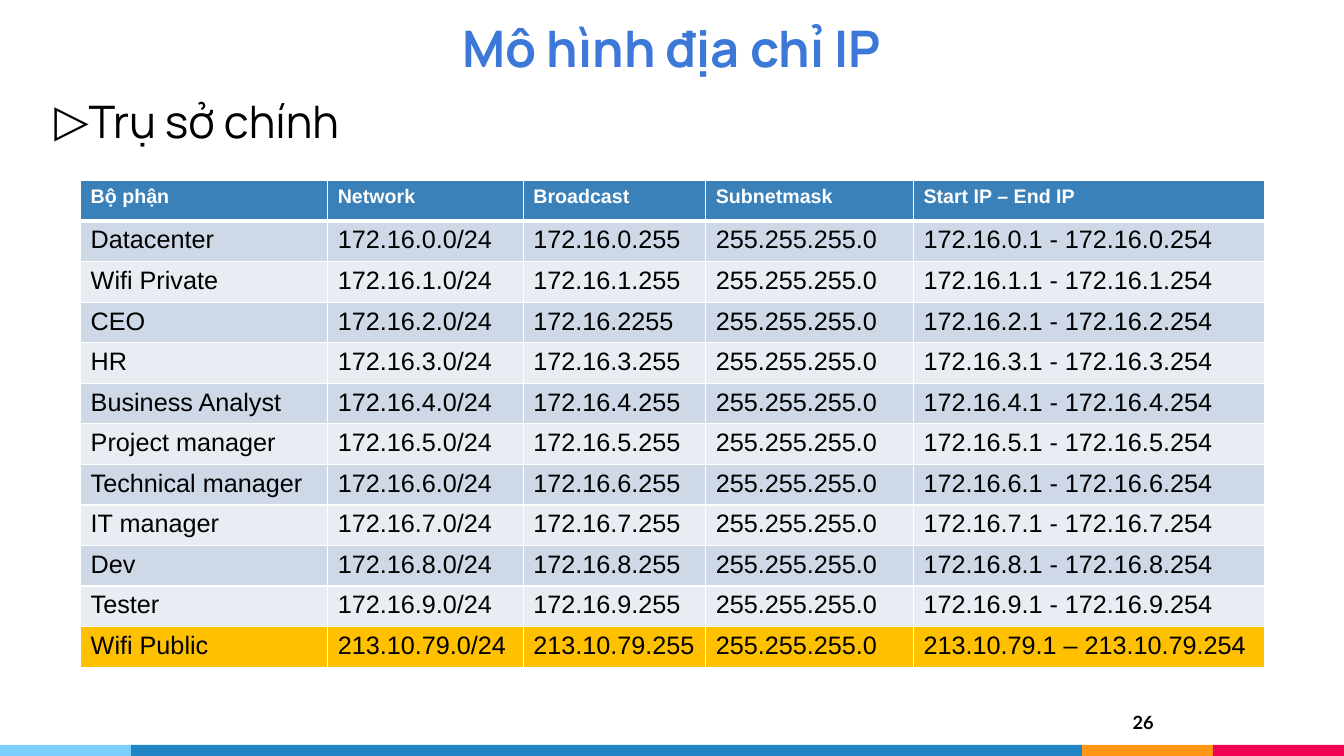
import dataclasses

import pptx
import pptx.dml.color
import pptx.enum.shapes
import pptx.enum.text
import pptx.oxml
import pptx.oxml.ns
import pptx.util

Inches = pptx.util.Inches
Align = pptx.enum.text.PP_ALIGN
Anchor = pptx.enum.text.MSO_ANCHOR
NAMESPACE = pptx.oxml.ns.nsdecls("a")
BLACK, WHITE = "000000", "FFFFFF"
HEADER_FILL, PUBLIC_FILL = "3A81BA", "FFC000"
BAND_FILLS = ("CED8E7", "E8EDF3")
MASK = "255.255.255.0"


@dataclasses.dataclass
class FooterBar:
    left: float
    width: float
    fill: str


@dataclasses.dataclass
class TableRow:
    texts: tuple
    fill: str


FOOTER_BARS = [
    FooterBar(10.73, 1.3, "FF9715"),
    FooterBar(12.03, 1.3, "F20253"),
    FooterBar(0, 1.3, "7ECEFD"),
    FooterBar(1.3, 9.43, "2185C5"),
]
HEADERS = ("Bộ phận", "Network", "Broadcast", "Subnetmask", "Start IP – End IP")
COLUMN_WIDTHS = (2.45, 1.94, 1.81, 2.06, 3.48)
DEPARTMENTS = ("Datacenter", "Wifi Private", "CEO", "HR", "Business Analyst",
               "Project manager", "Technical manager", "IT manager", "Dev", "Tester")
BROADCAST_EXCEPTIONS = {"CEO": "172.16.2255"}


def color(value: str) -> pptx.dml.color.RGBColor:
    return pptx.dml.color.RGBColor.from_string(value)


def write_text(frame, text: str, *, size: float, font: str, fill: str = BLACK,
               bold: bool = False, align=Align.LEFT):
    paragraph = frame.paragraphs[0]
    paragraph.alignment = align
    run = paragraph.add_run()
    run.text = text
    run.font.size = pptx.util.Pt(size)
    run.font.name = font
    run.font.bold = bold
    run.font.color.rgb = color(fill)
    return paragraph


def add_text_frame(slide, left: float, top: float, width: float, height: float, *,
                   inset: float = 0.1, wrap: bool = True, anchor=Anchor.TOP):
    box = slide.shapes.add_textbox(Inches(left), Inches(top), Inches(width), Inches(height))
    frame = box.text_frame
    frame.word_wrap = wrap
    frame.vertical_anchor = anchor
    frame.margin_left = frame.margin_right = Inches(0.1)
    frame.margin_top = frame.margin_bottom = Inches(inset)
    return frame


def add_footer_bar(slide, bar: FooterBar) -> None:
    shape = slide.shapes.add_shape(pptx.enum.shapes.MSO_SHAPE.RECTANGLE, Inches(bar.left),
                                   Inches(7.39), Inches(bar.width), Inches(0.11))
    shape.shadow.inherit = False
    shape.fill.solid()
    shape.fill.fore_color.rgb = color(bar.fill)
    shape.line.fill.background()


def set_bullet(paragraph, symbol: str) -> None:
    properties = paragraph._p.get_or_add_pPr()
    properties.set("marL", "0")
    properties.set("indent", "0")
    for xml in (f'<a:buClr {NAMESPACE}><a:srgbClr val="{BLACK}"/></a:buClr>',
                f'<a:buFont {NAMESPACE} typeface="Arial"/>',
                f'<a:buChar {NAMESPACE} char="{symbol}"/>'):
        properties.append(pptx.oxml.parse_xml(xml))


def set_borders(cell, **widths: float) -> None:
    properties = cell._tc.get_or_add_tcPr()
    for side, width in widths.items():
        properties.append(pptx.oxml.parse_xml(
            f'<a:ln{side} {NAMESPACE} w="{pptx.util.Pt(width)}"><a:solidFill>'
            f'<a:srgbClr val="{WHITE}"/></a:solidFill></a:ln{side}>'))


def address_rows() -> list[TableRow]:
    rows = [TableRow(HEADERS, HEADER_FILL)]
    for number, department in enumerate(DEPARTMENTS):
        subnet = f"172.16.{number}"
        broadcast = BROADCAST_EXCEPTIONS.get(department, f"{subnet}.255")
        texts = (department, f"{subnet}.0/24", broadcast, MASK, f"{subnet}.1 - {subnet}.254")
        rows.append(TableRow(texts, BAND_FILLS[number % 2]))
    rows.append(TableRow(("Wifi Public", "213.10.79.0/24", "213.10.79.255", MASK,
                          "213.10.79.1 – 213.10.79.254"), PUBLIC_FILL))
    return rows


def add_address_table(slide, rows: list[TableRow]) -> None:
    table = slide.shapes.add_table(len(rows), len(HEADERS), Inches(0.8), Inches(1.79),
                                   Inches(sum(COLUMN_WIDTHS)), Inches(4.83)).table
    table.horz_banding = False
    for column, width in zip(table.columns, COLUMN_WIDTHS):
        column.width = Inches(width)
    for row_index, row in enumerate(rows):
        is_header = row_index == 0
        for column_index, text in enumerate(row.texts):
            cell = table.cell(row_index, column_index)
            set_borders(cell, L=1, R=1, T=3 if row_index == 1 else 1, B=3 if is_header else 1)
            cell.fill.solid()
            cell.fill.fore_color.rgb = color(row.fill)
            write_text(cell.text_frame, text, size=14 if is_header else 18, font="Arial",
                       fill=WHITE if is_header else BLACK, bold=is_header)


def main() -> None:
    presentation = pptx.Presentation()
    presentation.slide_width = Inches(13.33)
    presentation.slide_height = Inches(7.5)
    slide = presentation.slides.add_slide(presentation.slide_layouts[6])

    # Footer stripe and page number
    for bar in FOOTER_BARS:
        add_footer_bar(slide, bar)
    write_text(add_text_frame(slide, 10.94, 6.96, 0.6, 0.46), "26",
               size=13, font="Lato", bold=True, align=Align.RIGHT)

    # Title and heading
    write_text(add_text_frame(slide, 3.13, 0, 7.07, 0.87, anchor=Anchor.BOTTOM),
               "Mô hình địa chỉ IP", size=36, font="Manrope", fill="3C78D8",
               bold=True, align=Align.CENTER)
    heading_frame = add_text_frame(slide, 0.44, 0.88, 3.12, 0.64, inset=0.05, wrap=False)
    heading_frame.auto_size = pptx.enum.text.MSO_AUTO_SIZE.SHAPE_TO_FIT_TEXT
    heading = write_text(heading_frame, "Trụ sở chính", size=32, font="Manrope",
                         align=Align.JUSTIFY)
    heading.space_after = pptx.util.Pt(18)
    set_bullet(heading, "▷")

    # Address plan
    add_address_table(slide, address_rows())

    presentation.save("out.pptx")


if __name__ == "__main__":
    main()
